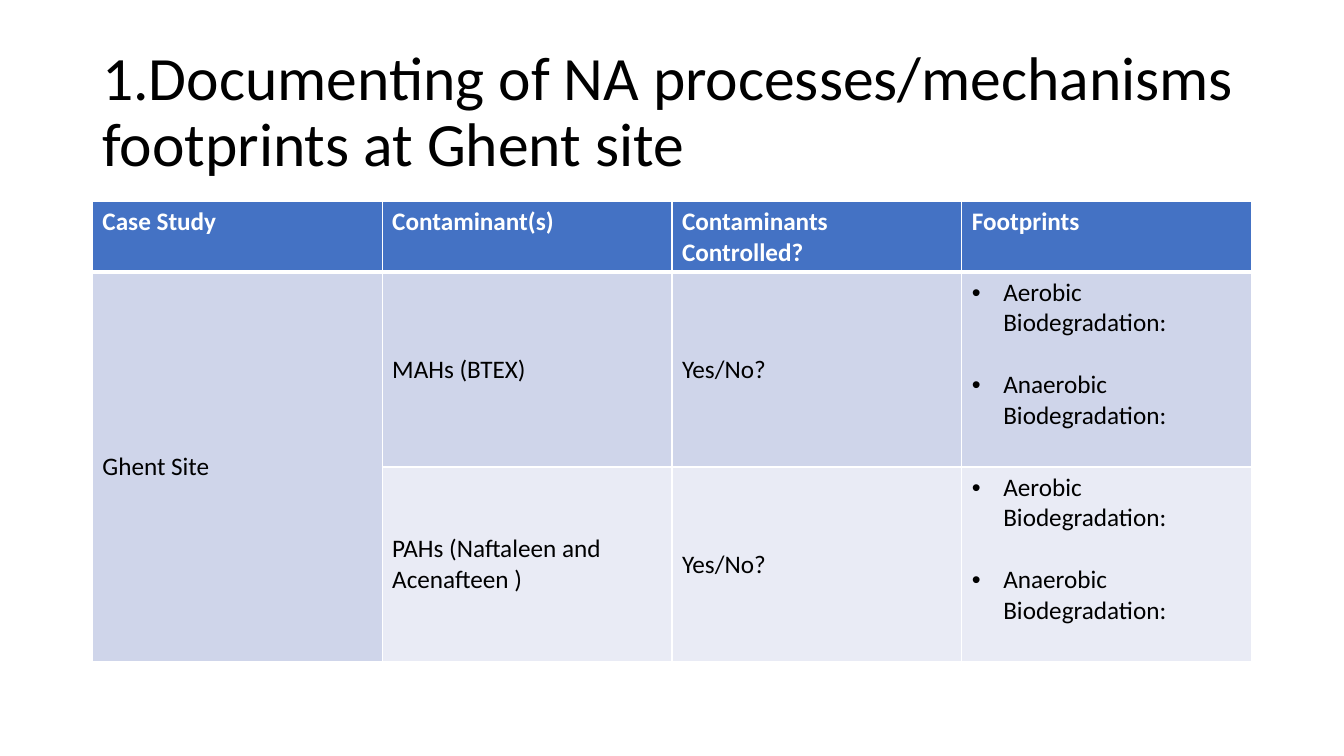
from dataclasses import dataclass

from lxml import etree
from pptx import Presentation
from pptx.dml.color import RGBColor
from pptx.enum.text import MSO_ANCHOR
from pptx.oxml.ns import qn
from pptx.util import Pt

TOP, MIDDLE = MSO_ANCHOR.TOP, MSO_ANCHOR.MIDDLE


@dataclass(frozen=True)
class Theme:
    font: str = "Calibri"
    title_size: int = 44
    table_size: int = 18
    ink: str = "000000"
    white: str = "FFFFFF"
    header: str = "4472C4"
    bands: tuple = ("CFD5EA", "E9EBF5")


theme = Theme()


def add_span(para, text, size, color, bold=False):
    span = para.add_run()
    span.text = text
    span.font.name = theme.font
    span.font.size = Pt(size)
    span.font.bold = bold
    span.font.color.rgb = RGBColor.from_string(color)


def add_border(cell, side, width):
    line = etree.SubElement(cell._tc.get_or_add_tcPr(), qn(f"a:ln{side}"), w=str(Pt(width)))
    fill = etree.SubElement(line, qn("a:solidFill"))
    etree.SubElement(fill, qn("a:srgbClr"), val=theme.white)


deck = Presentation()
deck.slide_width, deck.slide_height = Pt(960), Pt(540)
page = deck.slides.add_slide(deck.slide_layouts[6])

# Title
box = page.shapes.add_textbox(Pt(66), Pt(28.75), Pt(828), Pt(104.4))
box.text_frame.word_wrap = True
box.text_frame.vertical_anchor = MIDDLE
para = box.text_frame.paragraphs[0]
para.line_spacing = 0.9
add_span(para, "1.Documenting of NA processes/mechanisms footprints at Ghent site",
         theme.title_size, theme.ink)

# Table content: the last column holds bullet lists
footprints = ["Aerobic Biodegradation:", "Anaerobic Biodegradation:"]
rows = [
    ["Case Study", "Contaminant(s)", "Contaminants Controlled?", "Footprints"],
    ["Ghent Site", "MAHs (BTEX)", "Yes/No?", footprints],
    [None, "PAHs (Naftaleen and Acenafteen )", "Yes/No?", footprints],
]
row_heights = [50.6, 139.2, 139.2]
row_fills = [theme.header, *theme.bands]
blank_line = 22
bullet_indent = 22.5

# Table grid
table = page.shapes.add_table(3, 4, Pt(66), Pt(143.75), Pt(828), Pt(sum(row_heights))).table
for column in table.columns:
    column.width = Pt(207)
for row, height in zip(table.rows, row_heights):
    row.height = Pt(height)
table.cell(1, 0).merge(table.cell(2, 0))

# Cells
for r, row in enumerate(rows):
    is_header = r == 0
    for c, content in enumerate(row):
        cell = table.cell(r, c)
        widths = {"L": 1, "R": 1, "T": 3 if r == 1 else 1, "B": 3 if is_header else 1}
        for side, width in widths.items():
            add_border(cell, side, width)
        cell.fill.solid()
        cell.fill.fore_color.rgb = RGBColor.from_string(row_fills[r])
        cell.vertical_anchor = TOP if is_header else MIDDLE
        if content is None:
            continue
        is_list = isinstance(content, list)
        if is_list:
            cell.margin_bottom = Pt(3.6 + blank_line)
        for i, text in enumerate(content if is_list else [content]):
            frame = cell.text_frame
            para = frame.add_paragraph() if i else frame.paragraphs[0]
            if is_list:
                para.space_before = Pt(blank_line if i else 0)
                props = para._p.get_or_add_pPr()
                props.set("marL", str(Pt(bullet_indent)))
                props.set("indent", str(-Pt(bullet_indent)))
                etree.SubElement(props, qn("a:buFont"), typeface="Arial")
                etree.SubElement(props, qn("a:buChar"), char="•")
            add_span(para, text, theme.table_size,
                     theme.white if is_header else theme.ink, is_header)

deck.save("out.pptx")
